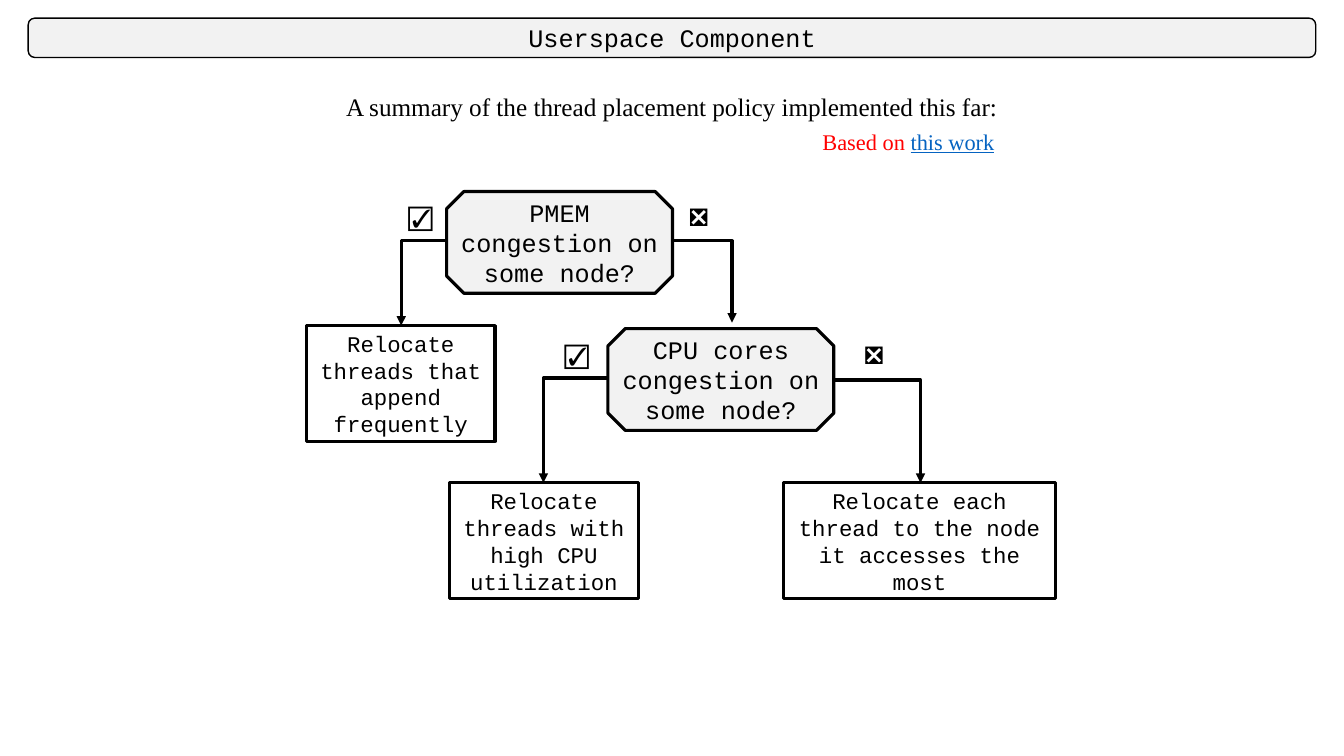
"""Build a slide with the decision tree of a thread placement policy."""
import pptx
import pptx.dml.color
import pptx.enum.shapes
import pptx.enum.text
import pptx.oxml
import pptx.oxml.ns
import pptx.util

Inches = pptx.util.Inches
Pt = pptx.util.Pt
RGBColor = pptx.dml.color.RGBColor
Shape = pptx.enum.shapes.MSO_SHAPE
Anchor = pptx.enum.text.MSO_ANCHOR

BLACK = RGBColor(0x00, 0x00, 0x00)
WHITE = RGBColor(0xFF, 0xFF, 0xFF)
GRAY = RGBColor(0xF2, 0xF2, 0xF2)
RED = RGBColor(0xFF, 0x00, 0x00)
BLUE = RGBColor(0x05, 0x63, 0xC1)

MONO = "Courier New"
SERIF = "Times New Roman"
SANS = "Calibri"


def add_text(frame, text, *, font, size=18, color=BLACK, underline=None,
             anchor=Anchor.MIDDLE, wrap=True):
    frame.word_wrap = wrap
    frame.auto_size = pptx.enum.text.MSO_AUTO_SIZE.NONE
    frame.vertical_anchor = anchor
    para = frame.paragraphs[0]
    para.alignment = pptx.enum.text.PP_ALIGN.CENTER
    span = para.add_run()
    span.text = text
    span.font.name = font
    span.font.size = Pt(size)
    span.font.color.rgb = color
    span.font.underline = underline


class PolicySlide:
    def __init__(self, deck):
        self.page = deck.slides.add_slide(deck.slide_layouts[5])
        self.border = 2.25

    def shape(self, kind, area, fill, border):
        box = self.page.shapes.add_shape(kind, *map(Inches, area))
        box.shadow.inherit = False
        box.fill.solid()
        box.fill.fore_color.rgb = fill
        box.line.color.rgb = BLACK
        box.line.width = Pt(border)
        return box

    def title(self, text, area):
        bar = self.shape(Shape.ROUNDED_RECTANGLE, area, GRAY, 1)
        heading = self.page.shapes.title
        bar._element.addnext(heading._element)
        heading.left, heading.top, heading.width, heading.height = map(Inches, area)
        add_text(heading.text_frame, text, font=MONO)

    def label(self, area, *spans, **style):
        box = self.page.shapes.add_textbox(*map(Inches, area))
        for text, color, underline in spans:
            add_text(box.text_frame, text, color=color, underline=underline, **style)

    def question(self, text, left, top):
        box = self.shape(Shape.OCTAGON, (left, top, 2.24, 1.01), GRAY, self.border)
        box.adjustments[0] = 0.17
        frame = box.text_frame
        frame.margin_left = frame.margin_right = Inches(0.01)
        frame.margin_top = frame.margin_bottom = 0
        add_text(frame, text, font=MONO)

    def action(self, text, left, top, width):
        box = self.shape(Shape.RECTANGLE, (left, top, width, 1.15), WHITE, self.border)
        add_text(box.text_frame, text, font=MONO, size=16)

    def branch(self, start, end):
        arrow = self.page.shapes.add_connector(
            pptx.enum.shapes.MSO_CONNECTOR.ELBOW, *map(Inches, start + end))
        arrow.line.color.rgb = BLACK
        arrow.line.width = Pt(self.border)
        properties = arrow._element.spPr
        properties.find(pptx.oxml.ns.qn("a:prstGeom")).set("prst", "bentConnector2")
        namespace = pptx.oxml.ns.nsdecls("a")
        arrow.line._get_or_add_ln().append(
            pptx.oxml.parse_xml(f'<a:tailEnd {namespace} type="triangle"/>'))
        properties.append(pptx.oxml.parse_xml(f"<a:effectLst {namespace}/>"))

    def mark(self, symbol, left, top, anchor):
        self.label((left, top, 0.56, 0.4), (symbol, BLACK, None),
                   font=SANS, anchor=anchor, wrap=False)


def main():
    deck = pptx.Presentation()
    deck.slide_width = Inches(13.33)
    deck.slide_height = Inches(7.5)
    slide = PolicySlide(deck)

    slide.title("Userspace Component", (0.28, 0.18, 12.77, 0.39))
    slide.label((0.28, 0.86, 12.77, 0.4),
                ("A summary of the thread placement policy implemented this far:", BLACK, None),
                font=SERIF, anchor=Anchor.TOP)
    slide.label((7.89, 1.22, 2.24, 0.37),
                ("Based on ", RED, None), ("this work", BLUE, True),
                font=SERIF, size=16, anchor=Anchor.TOP)

    for text, left, top in (
        ("PMEM congestion on some node?", 4.43, 1.9),
        ("CPU cores congestion on some node?", 6.03, 3.26),
    ):
        slide.question(text, left, top)

    for text, left, top, width in (
        ("Relocate threads that append frequently", 3.04, 3.23, 1.87),
        ("Relocate threads with high CPU utilization", 4.46, 4.79, 1.87),
        ("Relocate each thread to the node it accesses the most", 7.77, 4.79, 2.7),
    ):
        slide.action(text, left, top, width)

    for start, end in (
        ((4.44, 2.39), (3.98, 3.23)),
        ((6.67, 2.39), (7.26, 3.2)),
        ((6.04, 3.75), (5.39, 4.79)),
        ((8.27, 3.77), (9.13, 4.79)),
    ):
        slide.branch(start, end)

    for yes_left, no_left, top in ((3.89, 6.65, 1.95), (5.44, 8.39, 3.32)):
        slide.mark("☑", yes_left, top, Anchor.TOP)
        slide.mark("❎", no_left, top, Anchor.MIDDLE)

    deck.save("out.pptx")


if __name__ == "__main__":
    main()
